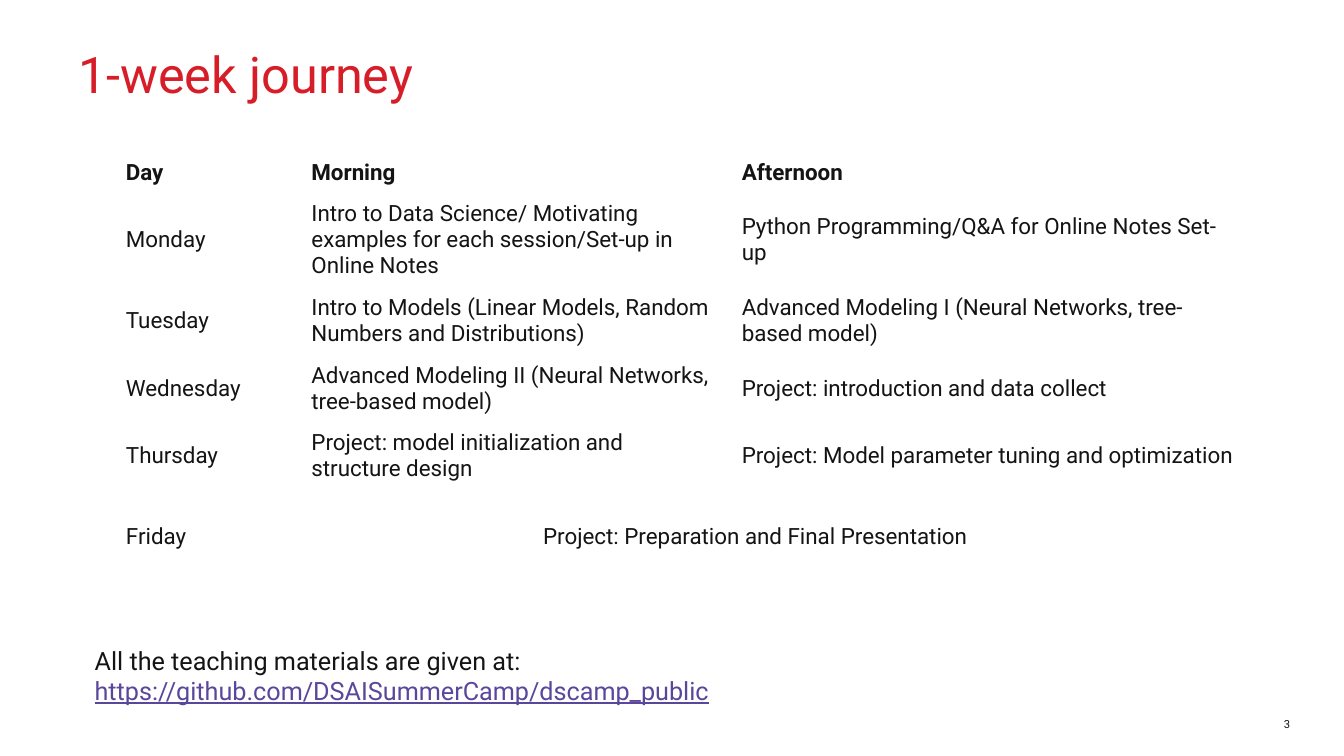
from dataclasses import dataclass

from pptx import Presentation
from pptx.dml.color import RGBColor
from pptx.enum.text import MSO_ANCHOR as Anchor, MSO_AUTO_SIZE as AutoSize, PP_ALIGN as Align
from pptx.slide import Slide
from pptx.util import Pt

INK, RED, PURPLE, WHITE = "141414", "D71E28", "5A469B", "FFFFFF"


@dataclass
class Run:
    text: str
    size: float
    color: str = INK
    bold: bool = False
    underline: bool = False


@dataclass
class Label:
    left: float
    top: float
    width: float
    height: float
    lines: list[Run]
    frame_format: dict
    paragraph_format: dict


LABELS = [
    Label(46.8, 36, 567.4, 450, [Run("1-week journey", 36, RED)],
          {"margin_left": 0, "margin_right": 0, "margin_top": 0, "margin_bottom": 0},
          {"line_spacing": 0.9}),
    Label(883.4, 504, 38.2, 18, [Run("3", 8)],
          {"margin_left": 0, "margin_right": 0, "margin_top": 0, "margin_bottom": 0,
           "vertical_anchor": Anchor.BOTTOM},
          {"alignment": Align.RIGHT}),
    Label(60.5, 457.2, 761.8, 28.8,
          [Run("All the teaching materials are given at:", 18),
           Run("https://github.com/DSAISummerCamp/dscamp_public", 18, PURPLE, underline=True)],
          {"auto_size": AutoSize.SHAPE_TO_FIT_TEXT}, {}),
]

SCHEDULE = [
    ("Day", "Morning", "Afternoon"),
    ("Monday",
     "Intro to Data Science/ Motivating examples for each session/Set-up in Online Notes",
     "Python Programming/Q&A for Online Notes Set-up"),
    ("Tuesday", "Intro to Models (Linear Models, Random Numbers and Distributions)",
     "Advanced Modeling I (Neural Networks, tree-based model)"),
    ("Wednesday", "Advanced Modeling II (Neural Networks, tree-based model)",
     "Project: introduction and data collect"),
    ("Thursday", "Project: model initialization and structure design",
     "Project: Model parameter tuning and optimization"),
    ("Friday", "Project: Preparation and Final Presentation", ""),
]
COLUMN_WIDTHS = [132.5, 307.4, 375.1]
ROW_HEIGHTS = [28.8, 67.7, 48.2, 48.2, 48.2, 67.7]
CELL_FORMAT = {"margin_left": Pt(10), "margin_right": Pt(10), "margin_top": Pt(4.3),
               "margin_bottom": Pt(4.3), "vertical_anchor": Anchor.MIDDLE}
FRIDAY_INDENT = 175.5


def set_all(target, formats: dict) -> None:
    for name, value in formats.items():
        setattr(target, name, value)


def rgb(color: str) -> RGBColor:
    return RGBColor.from_string(color)


def add_run(paragraph, piece: Run) -> None:
    run = paragraph.add_run()
    run.text = piece.text
    set_all(run.font, {"name": "Roboto", "size": Pt(piece.size), "bold": piece.bold,
                       "underline": piece.underline})
    run.font.color.rgb = rgb(piece.color)


def add_label(slide: Slide, label: Label) -> None:
    box = slide.shapes.add_textbox(Pt(label.left), Pt(label.top),
                                   Pt(label.width), Pt(label.height))
    frame = box.text_frame
    set_all(frame, {"word_wrap": True, **label.frame_format})
    paragraph = frame.paragraphs[0]
    set_all(paragraph, label.paragraph_format)
    for index, line in enumerate(label.lines):
        if index:
            paragraph.add_line_break()
        add_run(paragraph, line)


def add_schedule(slide: Slide) -> None:
    table = slide.shapes.add_table(len(SCHEDULE), len(COLUMN_WIDTHS), Pt(80), Pt(108.7),
                                   Pt(sum(COLUMN_WIDTHS)), Pt(sum(ROW_HEIGHTS))).table
    set_all(table, {"first_row": False, "horz_banding": False})
    for column, width in zip(table.columns, COLUMN_WIDTHS):
        column.width = Pt(width)
    for row, height in zip(table.rows, ROW_HEIGHTS):
        row.height = Pt(height)
    for row_index, texts in enumerate(SCHEDULE):
        for column_index, text in enumerate(texts):
            cell = table.cell(row_index, column_index)
            set_all(cell, CELL_FORMAT)
            cell.fill.solid()
            cell.fill.fore_color.rgb = rgb(WHITE)
            if text:
                add_run(cell.text_frame.paragraphs[0], Run(text, 16, bold=row_index == 0))
    friday_project = table.cell(len(SCHEDULE) - 1, 1)
    friday_project.merge(table.cell(len(SCHEDULE) - 1, 2))
    friday_project.margin_left = Pt(FRIDAY_INDENT)


def main() -> None:
    deck = Presentation()
    set_all(deck, {"slide_width": Pt(960), "slide_height": Pt(540)})
    slide = deck.slides.add_slide(deck.slide_layouts[6])
    title, page_number, materials = LABELS
    # The title box reaches below the table, so it goes furthest back.
    title.frame_format["margin_left"] = Pt(9)
    add_label(slide, title)
    add_label(slide, page_number)
    add_schedule(slide)
    add_label(slide, materials)
    deck.save("out.pptx")


if __name__ == "__main__":
    main()
